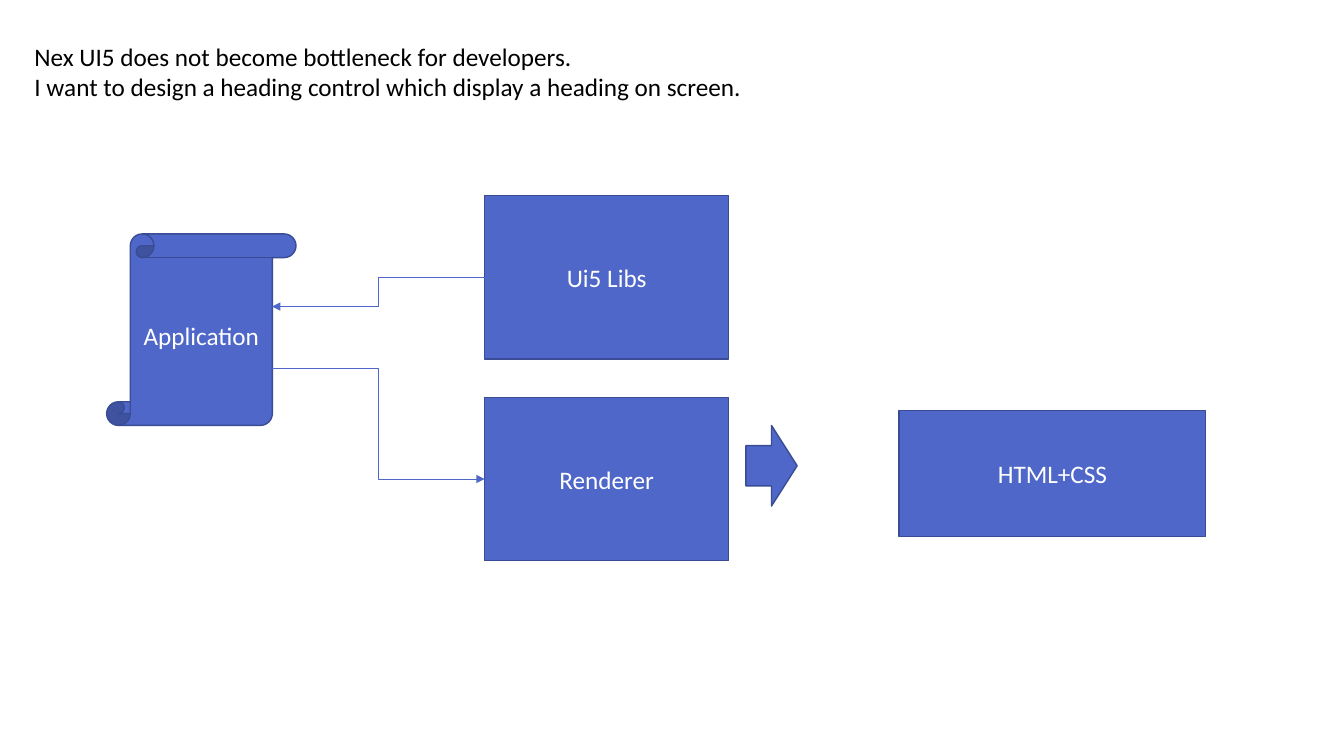
from pptx import Presentation
from pptx.dml.color import RGBColor
from pptx.enum.shapes import MSO_CONNECTOR, MSO_SHAPE
from pptx.enum.text import MSO_ANCHOR, MSO_AUTO_SIZE, PP_ALIGN
from pptx.oxml.ns import qn
from pptx.util import Inches, Pt
from lxml.etree import SubElement


def rgb(value):
    return RGBColor.from_string(value)


def write(tf, text, color="000000", size=18, font="Calibri",
          align=PP_ALIGN.LEFT, anchor=MSO_ANCHOR.TOP):
    tf.word_wrap = True
    tf.auto_size = MSO_AUTO_SIZE.NONE
    tf.vertical_anchor = anchor
    for i, line in enumerate(text.split("\n")):
        p = tf.add_paragraph() if i else tf.paragraphs[0]
        p.alignment = align
        r = p.add_run()
        r.text = line
        r.font.size = Pt(size)
        r.font.name = font
        r.font.color.rgb = rgb(color)


class Deck:
    """Hold the style and the current slide, laid out on a 32 by 18 grid."""

    fill, outline, label = "4E67C8", "3A4C94", "FFFFFF"
    cols, rows = 32, 18

    def __init__(self):
        self.prs = Presentation()
        self.prs.slide_width = Inches(13.33)
        self.prs.slide_height = Inches(7.5)
        self.s = self.prs.slides.add_slide(self.prs.slide_layouts[5])

    def x(self, col):
        return round(self.prs.slide_width * col / self.cols)

    def y(self, row):
        return round(self.prs.slide_height * row / self.rows)

    def title(self, text, col, row, w, h):
        sp = self.s.shapes.title
        sp.left, sp.top = self.x(col), self.y(row)
        sp.width, sp.height = self.x(w), self.y(h)
        write(sp.text_frame, text)

    def shape(self, kind, col, row, w, h, text=None):
        sp = self.s.shapes.add_shape(
            kind, self.x(col), self.y(row), self.x(w), self.y(h))
        sp.shadow.inherit = False
        sp.fill.solid()
        sp.fill.fore_color.rgb = rgb(self.fill)
        sp.line.color.rgb = rgb(self.outline)
        sp.line.width = Pt(1)
        if text:
            write(sp.text_frame, text, color=self.label,
                  align=PP_ALIGN.CENTER, anchor=MSO_ANCHOR.MIDDLE)

    def arrow(self, col1, row1, col2, row2):
        c = self.s.shapes.add_connector(
            MSO_CONNECTOR.ELBOW, self.x(col1), self.y(row1),
            self.x(col2), self.y(row2))
        c.line.color.rgb = rgb(self.fill)
        c.line.width = Pt(0.5)
        SubElement(c.line._get_or_add_ln(), qn("a:tailEnd"), type="triangle")
        SubElement(c._element.spPr, qn("a:effectLst"))


def main():
    deck = Deck()
    deck.title("Nex UI5 does not become bottleneck for developers.\n"
               "I want to design a heading control which display a heading on screen.",
               0.58, 0.86, 30.46, 1.7)

    box_col, box_w, box_h = 11.54, 5.81, 3.89
    libs_row, renderer_row = 4.66, 9.46
    for text, row in (("Renderer", renderer_row), ("Ui5 Libs", libs_row)):
        deck.shape(MSO_SHAPE.RECTANGLE, box_col, row, box_w, box_h, text)

    deck.shape(MSO_SHAPE.VERTICAL_SCROLL, 2.54, 5.57, 4.51, 4.56, "Application")
    app_edge = 6.48
    deck.arrow(box_col, libs_row + box_h / 2, app_edge, 7.3)
    deck.arrow(app_edge, 8.78, box_col, renderer_row + box_h / 2)

    deck.shape(MSO_SHAPE.RIGHT_ARROW, 17.76, 10.13, 1.22, 1.92)
    deck.shape(MSO_SHAPE.RECTANGLE, 21.41, 9.77, 7.3, 3, "HTML+CSS")
    deck.prs.save("out.pptx")


if __name__ == "__main__":
    main()
